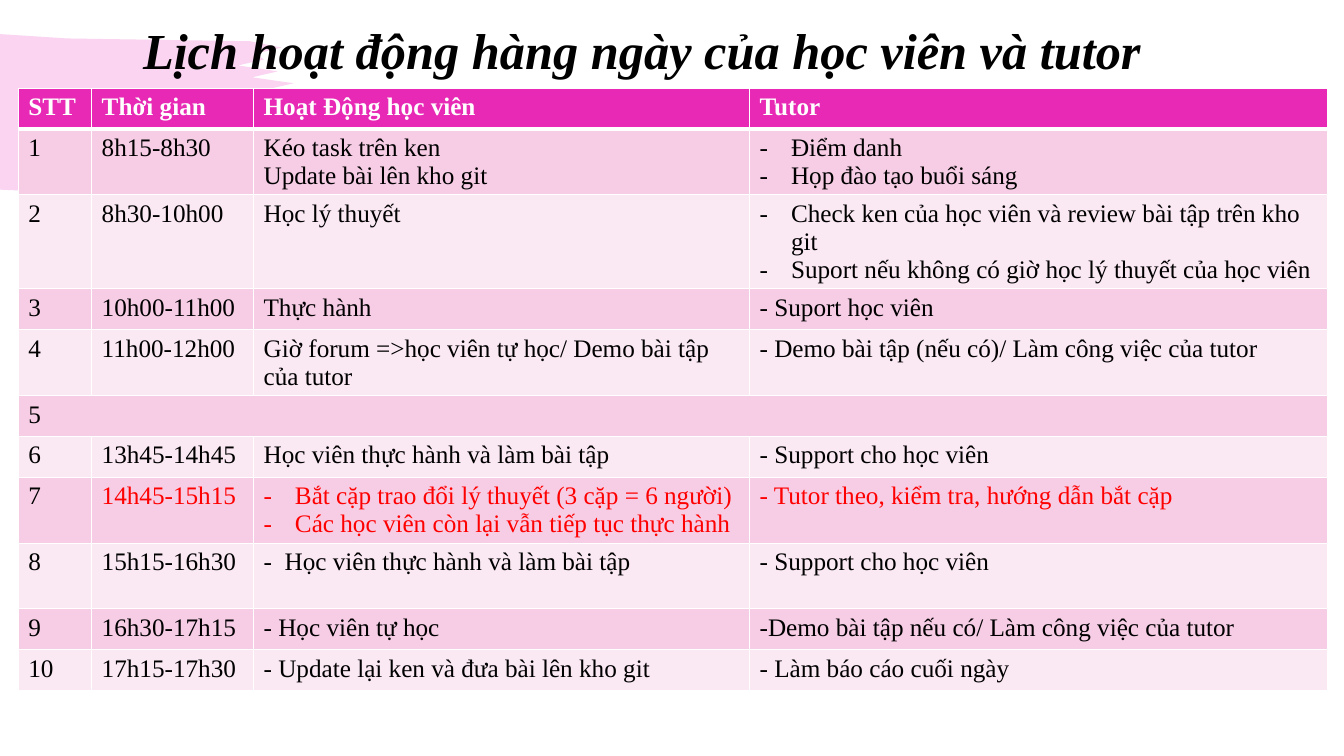
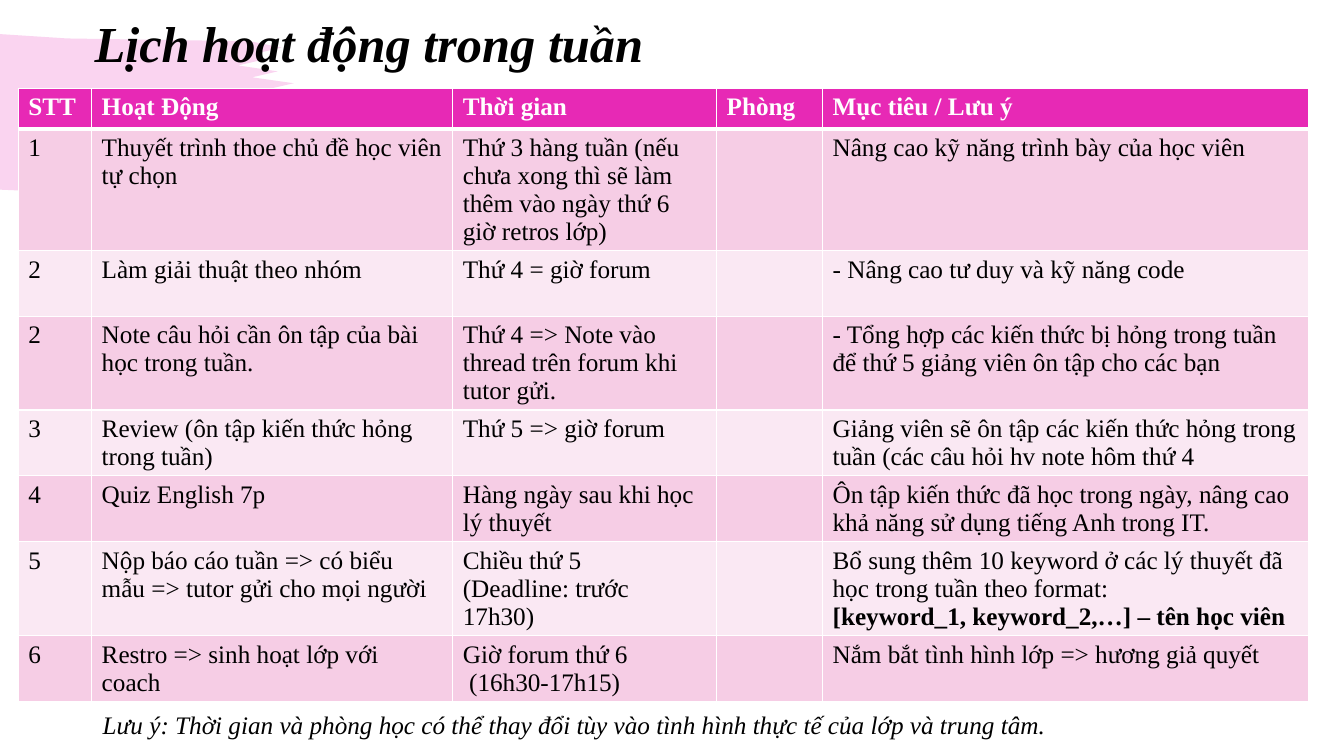
from lxml import etree
from pptx import Presentation
from pptx.dml.color import RGBColor
from pptx.enum import text
from pptx.oxml import ns
from pptx.util import Cm, Pt

HUES = {"pink": "E729B5", "odd": "F6CDE5", "even": "FAE8F3",
        "white": "FFFFFF", "black": "000000", "red": "FF0000"}
FACE = "Times New Roman"
HEAD_SIZE, BODY_SIZE = 36, 18
THIN, THICK = 1, 3
PAD, LINE, LEAST = 0.25, 0.7, 1.03
INDENT = Cm(0.79)
DASH = "* "

TOP_EDGE = [(0, 0.86), (1.7, 0.97), (6.3, 1.04)]
LOW_EDGE = [(5, 4.37), (2.6, 4.78), (1.65, 4.85), (0, 4.78)]
TIPS = [7.1, 6.65, 7, 7.4, 8.4, 8.1, 7.75, 7.8, 6.9, 6.7]
TIP_TOP, TIP_STEP, NOTCH = 1.2, 0.3, 0.65

DAILY = [
    (1, ["STT", "Thời gian", "Hoạt Động học viên", "Tutor"]),
    (2, ["1", "8h15-8h30", "Kéo task trên ken\nUpdate bài lên kho git",
         "* Điểm danh\n* Họp đào tạo buổi sáng"]),
    (3, ["2", "8h30-10h00", "Học lý thuyết",
         "* Check ken của học viên và review bài tập trên kho git\n"
         "* Suport nếu không có giờ học lý thuyết của học viên"]),
    (1, ["3", "10h00-11h00", "Thực hành", "- Suport học viên"]),
    (2, ["4", "11h00-12h00",
         "Giờ forum =>học viên tự học/ Demo bài tập của tutor",
         "- Demo bài tập (nếu có)/ Làm công việc của tutor"]),
    (1, ["5"]),
    (1, ["6", "13h45-14h45", "Học viên thực hành và làm bài tập",
         "- Support cho học viên"]),
    (2, ["7", "14h45-15h15",
         "* Bắt cặp trao đổi lý thuyết (3 cặp = 6 người)\n"
         "* Các học viên còn lại vẫn tiếp tục thực hành",
         "- Tutor theo, kiểm tra, hướng dẫn bắt cặp"]),
    (2, ["8", "15h15-16h30", "-  Học viên thực hành và làm bài tập",
         "- Support cho học viên"]),
    (1, ["9", "16h30-17h15", "- Học viên tự học",
         "-Demo bài tập nếu có/ Làm công việc của tutor"]),
    (1, ["10", "17h15-17h30", "- Update lại ken và đưa bài lên kho git",
         "- Làm báo cáo cuối ngày"])]

WEEKLY = [
    (1, ["STT", "Hoạt Động", "Thời gian", "Phòng", "Mục tiêu / Lưu ý"]),
    (4, ["1", "Thuyết trình thoe chủ đề học viên tự chọn",
         "Thứ 3 hàng tuần (nếu chưa xong thì sẽ làm thêm vào ngày thứ 6 giờ retros lớp)",
         "", "Nâng cao kỹ năng trình bày của học viên"]),
    (2, ["2", "Làm giải thuật theo nhóm", "Thứ 4 = giờ forum", "",
         "- Nâng cao tư duy và kỹ năng code"]),
    (3, ["2", "Note câu hỏi cần ôn tập của bài học trong tuần.",
         "Thứ 4 => Note vào thread trên forum khi tutor gửi.", "",
         "- Tổng hợp các kiến thức bị hỏng trong tuần để thứ 5 giảng viên ôn tập cho các bạn"]),
    (2, ["3", "Review (ôn tập kiến thức hỏng trong tuần)",
         "Thứ 5 => giờ forum", "",
         "Giảng viên sẽ ôn tập các kiến thức hỏng trong tuần (các câu hỏi hv note hôm thứ 4"]),
    (2, ["4", "Quiz English 7p", "Hàng ngày sau khi học lý thuyết", "",
         "Ôn tập kiến thức đã học trong ngày, nâng cao khả năng sử dụng tiếng Anh trong IT."]),
    (3, ["5", "Nộp báo cáo tuần => có biểu mẫu => tutor gửi cho mọi người",
         "Chiều thứ 5\n(Deadline: trước 17h30)", "",
         "Bổ sung thêm 10 keyword ở các lý thuyết đã học trong tuần theo format:\n"
         "[keyword_1, keyword_2,…] – tên học viên"]),
    (2, ["6", "Restro => sinh hoạt lớp với coach",
         "Giờ forum thứ 6\n (16h30-17h15)", "",
         "Nắm bắt tình hình lớp => hương giả quyết"])]

PAGES = [
    {"head": "Lịch hoạt động hàng ngày của học viên và tutor",
     "left": 3.35, "top": 0.56, "rows": DAILY,
     "cols": [1.85, 4.08, 12.5, 14.57], "alert": "7"},
    {"head": "Lịch hoạt động trong tuần",
     "left": 2.13, "top": 0.38, "rows": WEEKLY,
     "cols": [1.85, 9.1, 6.65, 2.67, 12.26], "alert": None}]


def paint(fill, hue):
    fill.solid()
    fill.fore_color.rgb = RGBColor.from_string(HUES[hue])


def style(para, size, hue, bold=False, slant=False):
    font = para.font
    font.name, font.size, font.bold, font.italic = FACE, Pt(size), bold, slant
    paint(font.fill, hue)


bristles = []
for k, tip in enumerate(TIPS):
    level = TIP_TOP + k * TIP_STEP
    bristles += [(tip, level), (tip - NOTCH, level + TIP_STEP / 2)]
outline = [(Cm(x), Cm(y)) for x, y in TOP_EDGE + bristles + LOW_EDGE]

deck = Presentation()
deck.slide_width, deck.slide_height = Cm(33.87), Cm(19.05)

for page in PAGES:
    slide = deck.slides.add_slide(deck.slide_layouts[5])
    rows, cols = page["rows"], page["cols"]

    pen = slide.shapes.build_freeform(*outline[0])
    pen.add_line_segments(outline[1:])
    brush = pen.convert_to_shape()
    brush.shadow.inherit = False
    brush.line.fill.background()
    paint(brush.fill, "pink")
    tint = brush._element.spPr.find(".//" + ns.qn("a:srgbClr"))
    etree.SubElement(tint, ns.qn("a:alpha"), val="20000")
    slide.shapes._spTree.insert(2, brush._element)

    title = slide.shapes.title
    title.left, title.top = Cm(page["left"]), Cm(page["top"])
    title.width, title.height = Cm(29.21), Cm(1.55)
    title.text_frame.text = page["head"]
    title.text_frame.vertical_anchor = text.MSO_ANCHOR.MIDDLE
    para = title.text_frame.paragraphs[0]
    para.alignment = text.PP_ALIGN.LEFT
    para.line_spacing = 0.9
    style(para, HEAD_SIZE, "black", bold=True, slant=True)

    highs = [Cm(max(LEAST, PAD + LINE * lines)) for lines, _ in rows]
    grid = slide.shapes.add_table(len(rows), len(cols), Cm(0.46), Cm(2.22),
                                  Cm(sum(cols)), sum(highs)).table
    for col, width in zip(grid.columns, cols):
        col.width = Cm(width)

    for r, (_, words) in enumerate(rows):
        grid.rows[r].height = highs[r]
        header = r == 0
        shade = "pink" if header else "odd" if r % 2 else "even"
        rims = {"L": THIN, "R": THIN,
                "T": THICK if r == 1 else THIN,
                "B": THICK if header else THIN}
        for c in range(len(cols)):
            cell = grid.cell(r, c)
            paint(cell.fill, shade)
            for spot, (side, width) in enumerate(rims.items()):
                rim = etree.Element(ns.qn("a:ln" + side), w=str(Pt(width)))
                fill = etree.SubElement(rim, ns.qn("a:solidFill"))
                etree.SubElement(fill, ns.qn("a:srgbClr"), val=HUES["white"])
                cell._tc.get_or_add_tcPr().insert(spot, rim)

            cell.text = words[c] if c < len(words) else ""
            alert = c > 0 and words[0] == page["alert"]
            hue = "white" if header else "red" if alert else "black"
            for para in cell.text_frame.paragraphs:
                if para.text.startswith(DASH):
                    para.runs[0].text = para.text[len(DASH):]
                    props = para._p.get_or_add_pPr()
                    props.set("marL", str(INDENT))
                    props.set("indent", str(-INDENT))
                    etree.SubElement(props, ns.qn("a:buFont"), typeface=FACE)
                    etree.SubElement(props, ns.qn("a:buChar"), char="-")
                style(para, BODY_SIZE, hue,
                      bold=header or para.text.startswith("["))
        if len(words) == 1:
            grid.cell(r, 0).merge(grid.cell(r, len(cols) - 1))

note = slide.shapes.add_textbox(Cm(2.34), Cm(17.75), Cm(28.8), Cm(1.03))
note.text_frame.word_wrap = True
note.text_frame.text = ("Lưu ý: Thời gian và phòng học có thể thay đổi tùy vào "
                        "tình hình thực tế của lớp và trung tâm.")
style(note.text_frame.paragraphs[0], BODY_SIZE, "black", slant=True)

deck.save("out.pptx")
